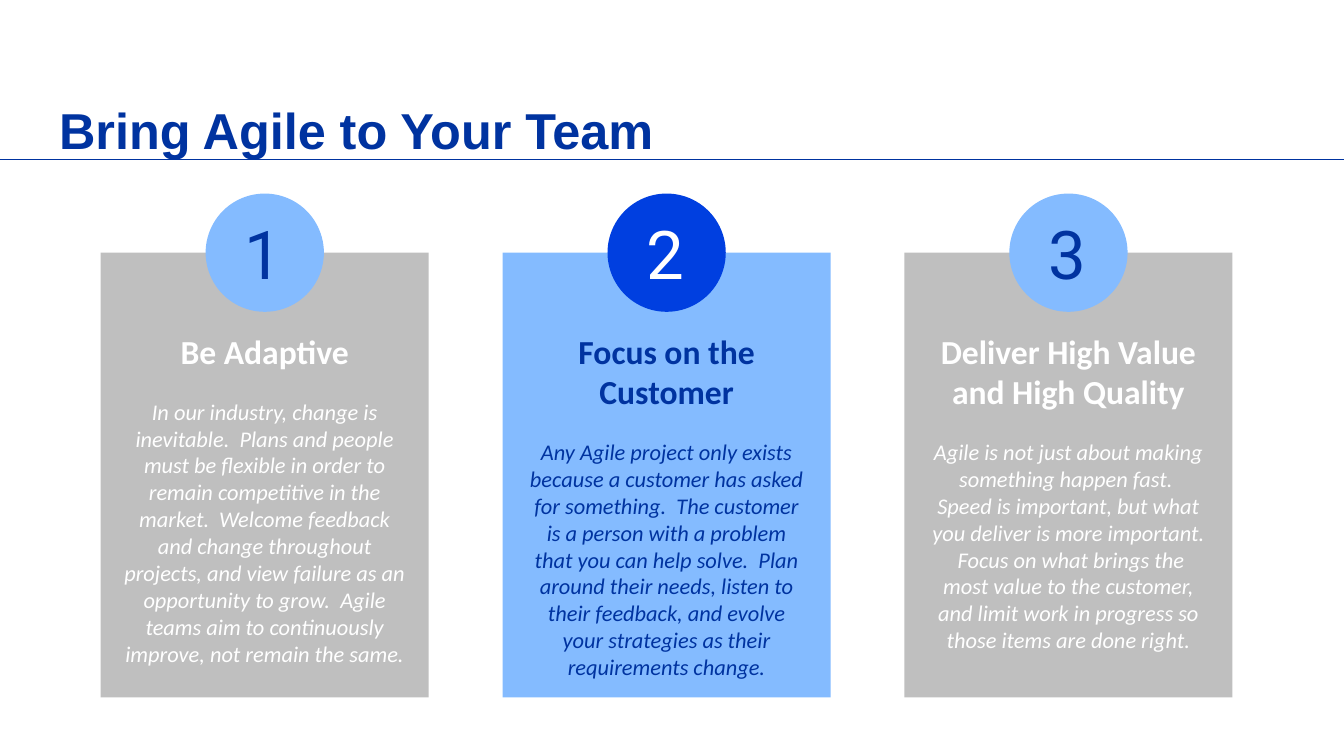
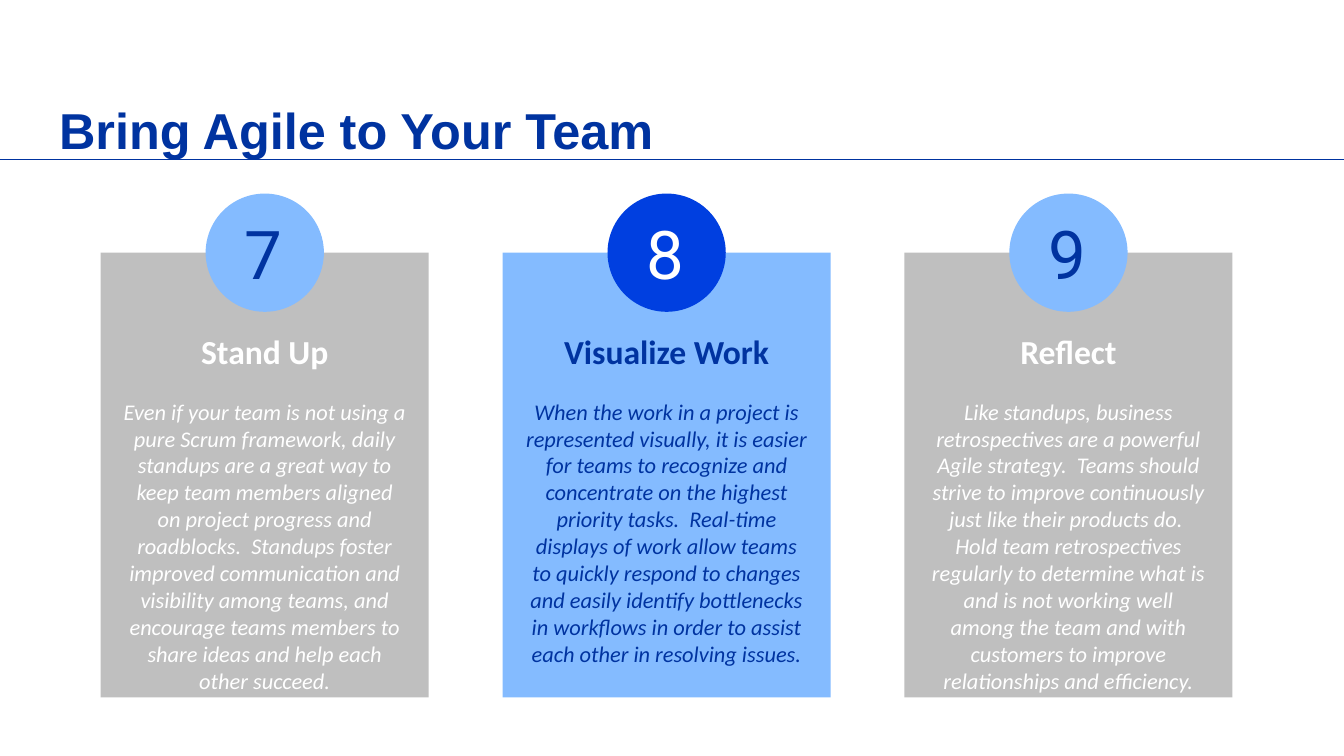
from lxml import etree
from pptx import Presentation
from pptx.dml.color import RGBColor
from pptx.enum.shapes import MSO_CONNECTOR, MSO_SHAPE
from pptx.enum.text import MSO_ANCHOR, MSO_AUTO_SIZE, PP_ALIGN
from pptx.oxml.ns import qn
from pptx.util import Inches, Pt

NAVY, BLUE, SKY = "0033A0", "003FE0", "84BBFF"
GRAY, WHITE = "BFBFBF", "FFFFFF"

TITLE = "Bring Agile to Your Team"
CARD_LEFT, CARD_TOP, CARD_BOTTOM = 0.75, 1.88, 5.19
CARD_WIDTH, CARD_GAP = 2.44, 0.55
CIRCLE = 0.88
NUMBER_WIDTH = 0.5
WIDE, NARROW = 2.31, 2.25

# Card fill, card text, circle fill, number colour for each column
STYLES = [
    (GRAY, WHITE, SKY, NAVY),
    (SKY, NAVY, BLUE, WHITE),
    (GRAY, WHITE, SKY, NAVY),
]

# Number, heading, body, text width for each card
SLIDES = [
    [
        ("1", "Be Adaptive",
         "In our industry, change is inevitable.  Plans and people must be "
         "flexible in order to remain competitive in the market.  Welcome "
         "feedback and change throughout projects, and view failure as an "
         "opportunity to grow.  Agile teams aim to continuously improve, "
         "not remain the same.", WIDE),
        ("2", "Focus on the Customer",
         "Any Agile project only exists because a customer has asked for "
         "something.  The customer is a person with a problem that you can "
         "help solve.  Plan around their needs, listen to their feedback, "
         "and evolve your strategies as their requirements change.", NARROW),
        ("3", "Deliver High Value and High Quality",
         "Agile is not just about making something happen fast.  Speed is "
         "important, but what you deliver is more important.  Focus on what "
         "brings the most value to the customer, and limit work in progress "
         "so those items are done right.", NARROW),
    ],
    [
        ("7", "Stand Up",
         "Even if your team is not using a pure Scrum framework, daily "
         "standups are a great way to keep team members aligned on project "
         "progress and roadblocks.  Standups foster improved communication "
         "and visibility among teams, and encourage teams members to share "
         "ideas and help each other succeed.", WIDE),
        ("8", "Visualize Work",
         "When the work in a project is represented visually, it is easier "
         "for teams to recognize and concentrate on the highest priority "
         "tasks.  Real-time displays of work allow teams to quickly respond "
         "to changes and easily identify bottlenecks in workflows in order "
         "to assist each other in resolving issues.", WIDE),
        ("9", "Reflect",
         "Like standups, business retrospectives are a powerful Agile "
         "strategy.  Teams should strive to improve continuously just like "
         "their products do.  Hold team retrospectives regularly to "
         "determine what is and is not working well among the team and with "
         "customers to improve relationships and efficiency.", NARROW),
    ],
]


def color(value):
    return RGBColor.from_string(value)


def write(para, text, *, size, font, fill, bold=False, italic=False,
          align=PP_ALIGN.CENTER, before=0, spacing=None):
    """Add one formatted span to a paragraph."""
    para.alignment = align
    para.space_before = Pt(before)
    para.line_spacing = spacing
    span = para.add_run()
    span.text = text
    span.font.size = Pt(size)
    span.font.name = font
    span.font.bold = bold
    span.font.italic = italic
    span.font.color.rgb = color(fill)


deck = Presentation()
deck.slide_width = Inches(10)
deck.slide_height = deck.slide_width * 9 // 16

for cards in SLIDES:
    page = deck.slides.add_slide(deck.slide_layouts[6])

    rule = page.shapes.add_connector(
        MSO_CONNECTOR.STRAIGHT, 0, Inches(1.19), deck.slide_width, Inches(1.19))
    rule.line.color.rgb = color(NAVY)
    rule.line.width = Pt(0.5)
    etree.SubElement(rule.element.spPr, qn("a:effectLst"))

    title = page.shapes.add_textbox(
        Inches(0.44), Inches(0.54), Inches(9.13), Inches(0.65)).text_frame
    title.margin_left = title.margin_right = 0
    title.margin_top = title.margin_bottom = 0
    title.word_wrap = True
    title.vertical_anchor = MSO_ANCHOR.BOTTOM
    write(title.paragraphs[0], TITLE, size=27, font="Arial", fill=NAVY,
          bold=True, align=PP_ALIGN.LEFT, spacing=0.9)

    for column, (number, heading, body, text_width) in enumerate(cards):
        card_fill, text_fill, circle_fill, number_fill = STYLES[column]
        left = CARD_LEFT + column * (CARD_WIDTH + CARD_GAP)
        center = left + CARD_WIDTH / 2

        for kind, x, y, width, height, fill in (
            (MSO_SHAPE.RECTANGLE, left, CARD_TOP,
             CARD_WIDTH, CARD_BOTTOM - CARD_TOP, card_fill),
            (MSO_SHAPE.OVAL, center - CIRCLE / 2, CARD_TOP - CIRCLE / 2,
             CIRCLE, CIRCLE, circle_fill),
        ):
            shape = page.shapes.add_shape(
                kind, Inches(x), Inches(y), Inches(width), Inches(height))
            shape.shadow.inherit = False
            shape.fill.solid()
            shape.fill.fore_color.rgb = color(fill)
            shape.line.fill.background()

        number_box = page.shapes.add_textbox(
            Inches(center - NUMBER_WIDTH / 2), Inches(1.53),
            Inches(NUMBER_WIDTH), Inches(0.71)).text_frame
        number_box.word_wrap = True
        write(number_box.paragraphs[0], number, size=36, font="Roboto",
              fill=number_fill, align=PP_ALIGN.LEFT)

        text_box = page.shapes.add_textbox(
            Inches(center - text_width / 2), Inches(2.41),
            Inches(text_width), Inches(2.73)).text_frame
        text_box.word_wrap = True
        text_box.auto_size = MSO_AUTO_SIZE.SHAPE_TO_FIT_TEXT
        write(text_box.paragraphs[0], heading, size=18, font="Calibri",
              fill=text_fill, bold=True)
        write(text_box.add_paragraph(), body, size=12, font="Calibri",
              fill=text_fill, italic=True, before=14.5)

deck.save("out.pptx")
